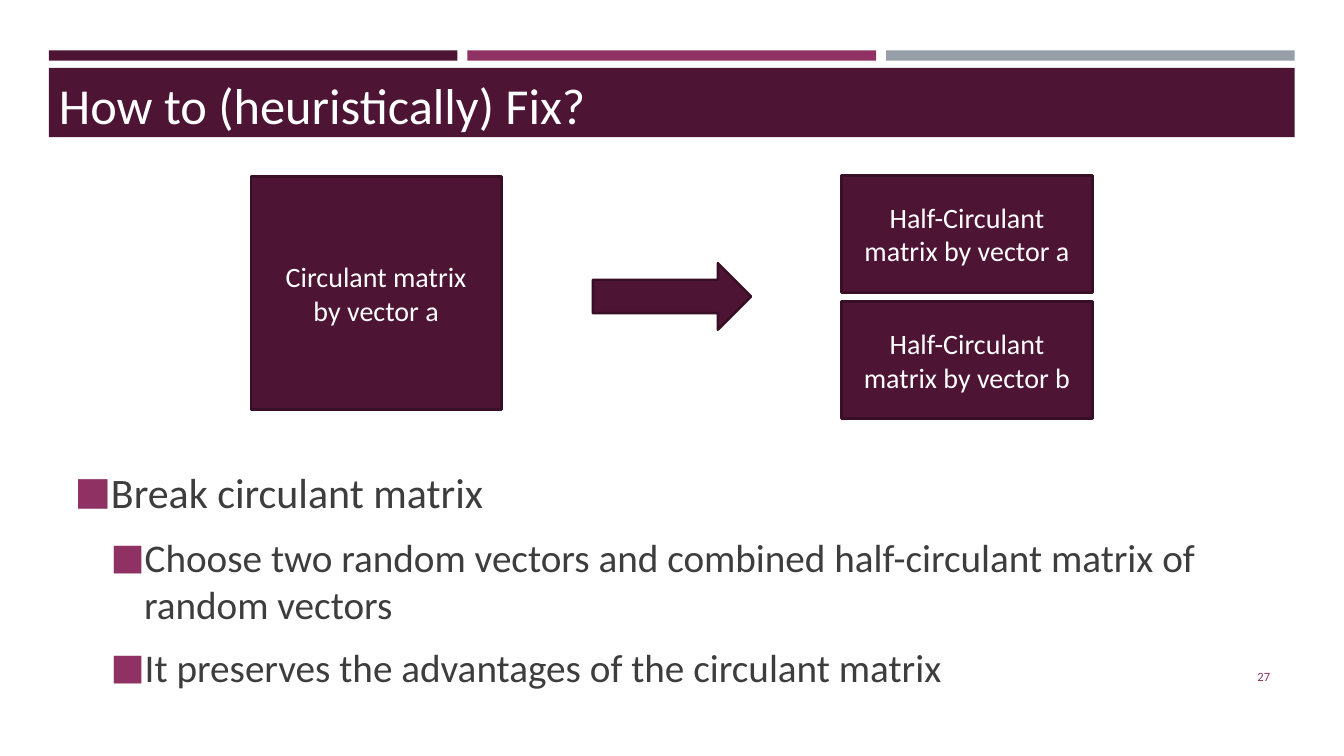
from collections import namedtuple
from dataclasses import dataclass

from lxml import etree
from pptx import Presentation
from pptx import util as u
from pptx.dml.color import RGBColor
from pptx.enum import shapes, text
from pptx.oxml import ns

Box = namedtuple("Box", "left top width height")


@dataclass(frozen=True)
class Theme:
    """Colours, font and type sizes of the slide."""
    plum: str = "4D1434"
    outline: str = "390F26"
    accent: str = "903163"
    grey: str = "969FA7"
    ink: str = "3D3D3D"
    white: str = "FFFFFF"
    font: str = "Calibri"
    title: int = 36
    levels: tuple = (30, 28)
    label: int = 20
    number: int = 9


THEME = Theme()
BULLETS = [
    (0, "Break circulant matrix"),
    (1, "Choose two random vectors and combined half-circulant matrix of random vectors"),
    (1, "It preserves the advantages of the circulant matrix"),
]


def to_cm(box):
    """Return the four lengths of a box in centimetres."""
    return [u.Cm(round(v, 2)) for v in box]


def format_paragraph(p, size, color, align):
    """Set the alignment of a paragraph and the font of its runs."""
    p.alignment = align
    for r in p.runs:
        r.font.name = THEME.font
        r.font.size = u.Pt(size)
        r.font.color.rgb = RGBColor.from_string(color)


def add_block(s, kind, box, fill, line=None, label=""):
    """Add a filled preset shape with an optional outline and label."""
    sp = s.shapes.add_shape(kind, *to_cm(box))
    sp.shadow.inherit = False
    sp.fill.solid()
    sp.fill.fore_color.rgb = RGBColor.from_string(fill)
    if line:
        sp.line.color.rgb = RGBColor.from_string(line)
        sp.line.width = u.Pt(1.75)
    else:
        sp.line.fill.background()
    if label:
        tf = sp.text_frame
        tf.text = label
        tf.word_wrap = True
        tf.vertical_anchor = text.MSO_ANCHOR.MIDDLE
        for p in tf.paragraphs:
            format_paragraph(p, THEME.label, THEME.white, text.PP_ALIGN.CENTER)


def add_header(s, box, title):
    """Draw three bars over a band and set the title on the band."""
    rect = shapes.MSO_SHAPE.RECTANGLE
    gap = 0.25
    width = (box.width - 2 * gap) / 3
    for i, color in enumerate((THEME.plum, THEME.accent, THEME.grey)):
        add_block(s, rect, Box(box.left + i * (width + gap), box.top, width, 0.26), color)
    band = Box(box.left, box.top + 0.44, box.width, box.height - 0.44)
    add_block(s, rect, band, THEME.plum)

    sp = s.shapes.title
    s.shapes._spTree.append(sp._element)
    sp.left, sp.top, sp.width, sp.height = to_cm(band._replace(top=band.top + 0.04, height=1.8))
    tf = sp.text_frame
    tf.text = title
    tf.word_wrap = True
    tf.auto_size = text.MSO_AUTO_SIZE.NONE
    tf.vertical_anchor = text.MSO_ANCHOR.TOP
    format_paragraph(tf.paragraphs[0], THEME.title, THEME.white, text.PP_ALIGN.LEFT)


def add_diagram(s, box):
    """Show one circulant matrix turning into two half-circulant ones."""
    rect = shapes.MSO_SHAPE.RECTANGLE
    style = (THEME.plum, THEME.outline)
    width, height, gap = 6.32, 2.95, 0.23
    add_block(s, rect, Box(box.left, box.top + 0.03, width, 5.87), *style,
              "Circulant matrix\nby vector a")
    add_block(s, shapes.MSO_SHAPE.RIGHT_ARROW,
              Box(box.left + 8.62, box.top + 2.21, 3.99, 1.68), *style)
    for i, vector in enumerate("ab"):
        half = Box(box.left + box.width - width, box.top + i * (height + gap), width, height)
        add_block(s, rect, half, *style, f"Half-Circulant matrix by vector {vector}")


def add_bullet(p, left, hanging):
    """Give a paragraph a square accent bullet and a hanging indent."""
    pPr = p._p.get_or_add_pPr()
    pPr.set("marL", str(u.Cm(left)))
    pPr.set("indent", str(-u.Cm(hanging)))
    color = etree.SubElement(pPr, ns.qn("a:buClr"))
    etree.SubElement(color, ns.qn("a:srgbClr"), val=THEME.accent)
    etree.SubElement(pPr, ns.qn("a:buSzPct"), val="92000")
    etree.SubElement(pPr, ns.qn("a:buFont"), typeface=THEME.font)
    etree.SubElement(pPr, ns.qn("a:buChar"), char="■")


def add_body(s, box, items):
    """Write the bulleted text in two levels."""
    tf = s.shapes.add_textbox(*to_cm(box)).text_frame
    tf.text = "\n".join(line for _, line in items)
    tf.word_wrap = True
    tf.vertical_anchor = text.MSO_ANCHOR.MIDDLE
    for p, (level, _) in zip(tf.paragraphs, items):
        size = THEME.levels[level]
        p.level = level
        p.space_before = u.Pt(0.2 * size)
        p.space_after = u.Pt(6)
        format_paragraph(p, size, THEME.ink, text.PP_ALIGN.LEFT)
        add_bullet(p, 0.84 + 0.91 * level, 0.84)


def add_number(s, box, number):
    """Write the slide number."""
    tf = s.shapes.add_textbox(*to_cm(box)).text_frame
    tf.text = str(number)
    tf.word_wrap = True
    tf.vertical_anchor = text.MSO_ANCHOR.MIDDLE
    format_paragraph(tf.paragraphs[0], THEME.number, THEME.accent, text.PP_ALIGN.RIGHT)


def main():
    """Build the slide and save it."""
    prs = Presentation()
    prs.slide_width, prs.slide_height = u.Cm(33.87), u.Cm(19.05)
    s = prs.slides.add_slide(prs.slide_layouts[5])
    add_header(s, Box(1.23, 1.27, 31.4, 2.19), "How to (heuristically) Fix?")
    add_body(s, Box(1.63, 10.77, 30.63, 7.62), BULLETS)
    add_number(s, Box(29.34, 16.54, 2.92, 1.02), 27)
    add_diagram(s, Box(6.32, 4.42, 21.21, 6.13))
    prs.save("out.pptx")


if __name__ == "__main__":
    main()
